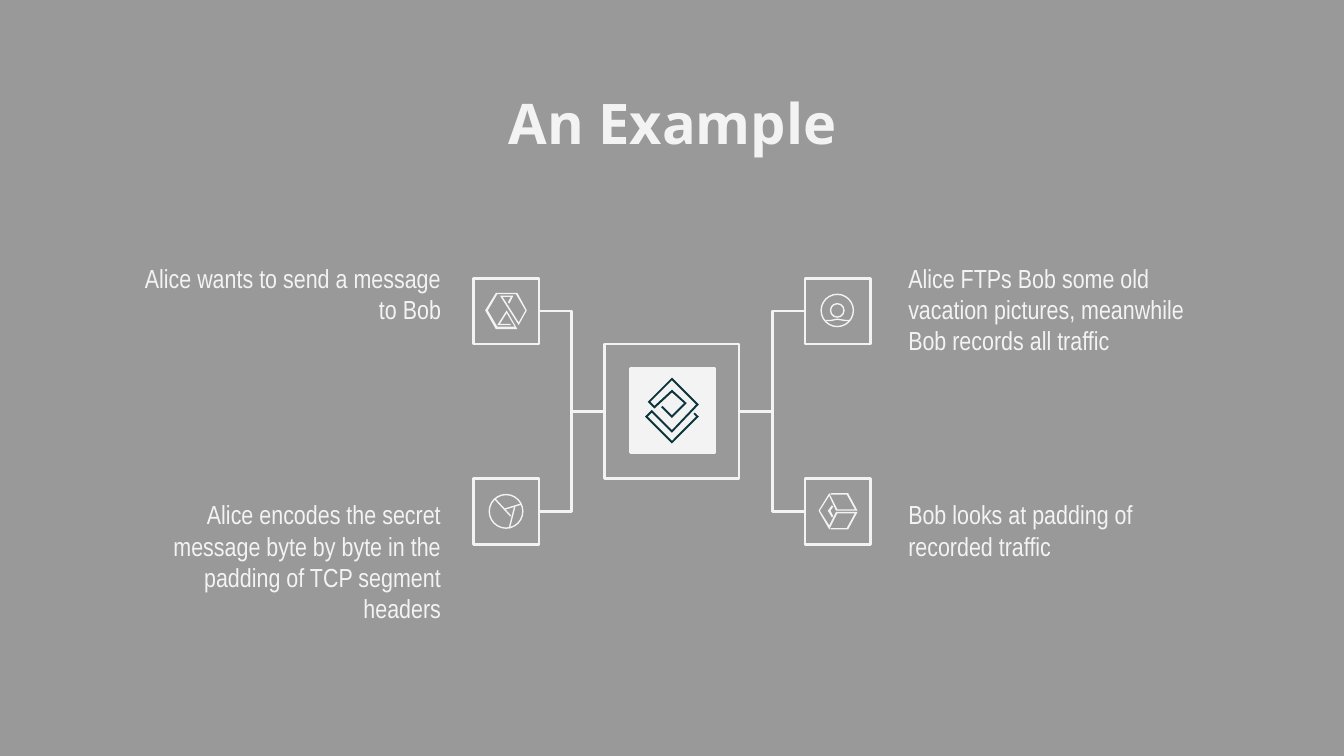
from lxml import etree
from pptx import Presentation
from pptx import util as u
from pptx.dml.color import RGBColor
from pptx.enum import shapes, text
from pptx.oxml.ns import qn

COLORS = {"back": "999999", "light": "F3F3F3", "dark": "0C343D"}
BOX = 0.49
LEFT, RIGHT = 3.52, 5.99
TOP, BOTTOM = 2.07, 3.56
MID_Y = 3.06

STEPS = [
    ("Alice wants to send a message to Bob", 0.94, 1.85, 2.44, 0.49, "RIGHT"),
    ("Alice FTPs Bob some old vacation pictures, meanwhile Bob records all traffic",
     6.66, 1.85, 2.4, 0.49, "LEFT"),
    ("Alice encodes the secret message byte by byte in the padding of TCP segment headers",
     0.94, 3.61, 2.44, 0.77, "RIGHT"),
    ("Bob looks at padding of recorded traffic", 6.66, 3.61, 2.4, 0.77, "LEFT"),
]

DIAMOND = [
    (500, 281), (482, 299), (487, 304), (500, 292), (509, 300), (500, 309),
    (493, 302), (492, 303), (500, 311), (511, 300), (500, 290), (487, 302),
    (484, 299), (500, 283), (518, 301), (500, 320), (485, 305), (480, 310),
    (500, 330), (520, 310), (517, 307), (516, 308), (518, 310), (500, 328),
    (482, 310), (485, 307), (500, 322), (520, 301)]
CUBE = [
    (631, 367), (618, 367), (618, 368), (630, 368), (636, 379), (623, 379),
    (617, 367), (609, 380), (617, 394), (623, 382), (636, 382), (630, 393),
    (618, 393), (618, 394), (631, 394), (638, 381), (622, 381), (617, 391),
    (610, 380), (617, 369), (622, 380), (638, 380)]
CUBE_EDGE = [(619, 376), (616, 380), (619, 385), (620, 384), (618, 380), (620, 377)]
HOURGLASS = [
    (369, 218), (361, 231), (369, 245), (385, 245), (377, 231), (370, 242),
    (380, 242), (380, 241), (372, 241), (377, 233), (383, 243), (370, 243),
    (363, 231), (370, 219), (384, 219), (391, 231), (386, 240), (374, 221),
    (380, 221), (378, 225), (379, 226), (382, 220), (372, 220), (386, 242),
    (392, 231), (385, 218)]
SHOULDERS = [
    (614, 238), (618, 238), (623, 237), (629, 238), (633, 238), (632, 239),
    (629, 239), (623, 238), (618, 239), (615, 239)]
PIE_CUTS = [(3.68, 3.71, 3.8, 3.84), (3.75, 3.79, 3.88, 3.75), (3.83, 3.77, 3.79, 3.93)]


def rgb(name):
    """Return the named colour."""
    return RGBColor.from_string(COLORS[name])


def add_text(s, content, x, y, w, h, size=14, font="Arial Narrow", bold=False,
             align="LEFT", after=0):
    """Add a wrapped text box with one paragraph."""
    tf = s.shapes.add_textbox(*map(u.Inches, (x, y, w, h))).text_frame
    tf.word_wrap = True
    tf.margin_left = tf.margin_right = tf.margin_top = tf.margin_bottom = u.Inches(0.1)
    p = tf.paragraphs[0]
    p.alignment = text.PP_ALIGN[align]
    p.space_after = u.Pt(after)
    r = p.add_run()
    r.text = content
    r.font.size, r.font.name, r.font.bold = u.Pt(size), font, bold
    r.font.color.rgb = rgb("light")


def add_outline(s, x, y, w, h, kind="RECTANGLE", fill=None, width=1.5):
    """Add a light-edged preset shape, hollow unless a fill is named."""
    sp = s.shapes.add_shape(shapes.MSO_SHAPE[kind], *map(u.Inches, (x, y, w, h)))
    sp.shadow.inherit = False
    if fill:
        sp.fill.solid()
        sp.fill.fore_color.rgb = rgb(fill)
    else:
        sp.fill.background()
    sp.line.color.rgb = rgb("light")
    sp.line.width = u.Pt(width)


def add_glyph(s, points, color="light"):
    """Add a filled polygon, given in hundredths of an inch, without an edge."""
    builder = s.shapes.build_freeform(*points[0], scale=u.Inches(0.01))
    builder.add_line_segments(points[1:], close=True)
    sp = builder.convert_to_shape()
    sp.shadow.inherit = False
    sp.fill.solid()
    sp.fill.fore_color.rgb = rgb(color)
    sp.line.fill.background()


def add_line(s, x1, y1, x2, y2, kind="STRAIGHT", width=1.5):
    """Add a light connector without a shadow."""
    sp = s.shapes.add_connector(shapes.MSO_CONNECTOR[kind],
                                *map(u.Inches, (x1, y1, x2, y2)))
    sp.line.color.rgb = rgb("light")
    sp.line.width = u.Pt(width)
    etree.SubElement(sp._element.spPr, qn("a:effectLst"))


def add_icons(s):
    """Draw the icons of the hub and the four steps."""
    add_glyph(s, DIAMOND, "dark")
    for points in (CUBE, CUBE_EDGE, HOURGLASS, SHOULDERS):
        add_glyph(s, points)
    for x, y, d in ((6.11, 2.19, 0.24), (6.18, 2.26, 0.1), (3.64, 3.68, 0.25)):
        add_outline(s, x, y, d, d, kind="OVAL", width=0.75)
    for cut in PIE_CUTS:
        add_line(s, *cut, width=0.75)


def main():
    """Build the slide and save it."""
    prs = Presentation()
    prs.slide_width = u.Inches(10)
    prs.slide_height = u.Inches(10) * 9 // 16
    s = prs.slides.add_slide(prs.slide_layouts[6])
    s.background.fill.solid()
    s.background.fill.fore_color.rgb = rgb("back")

    add_text(s, "An Example", 0.79, 0.56, 8.43, 0.63, size=30, font="Open Sans",
             bold=True, align="CENTER")
    for content, x, y, w, h, align in STEPS:
        add_text(s, content, x, y, w, h, align=align, after=16)

    add_outline(s, 4.5, 2.56, 1, 1)
    add_outline(s, 4.69, 2.74, 0.63, 0.63, fill="light")
    add_icons(s)
    for x, edge, hub in ((LEFT, LEFT + BOX, 4.5), (RIGHT, RIGHT, 5.5)):
        for y in (TOP, BOTTOM):
            add_outline(s, x, y, BOX, BOX)
            add_line(s, edge, y + BOX / 2, hub, MID_Y, kind="ELBOW")
    prs.save("out.pptx")


if __name__ == "__main__":
    main()
